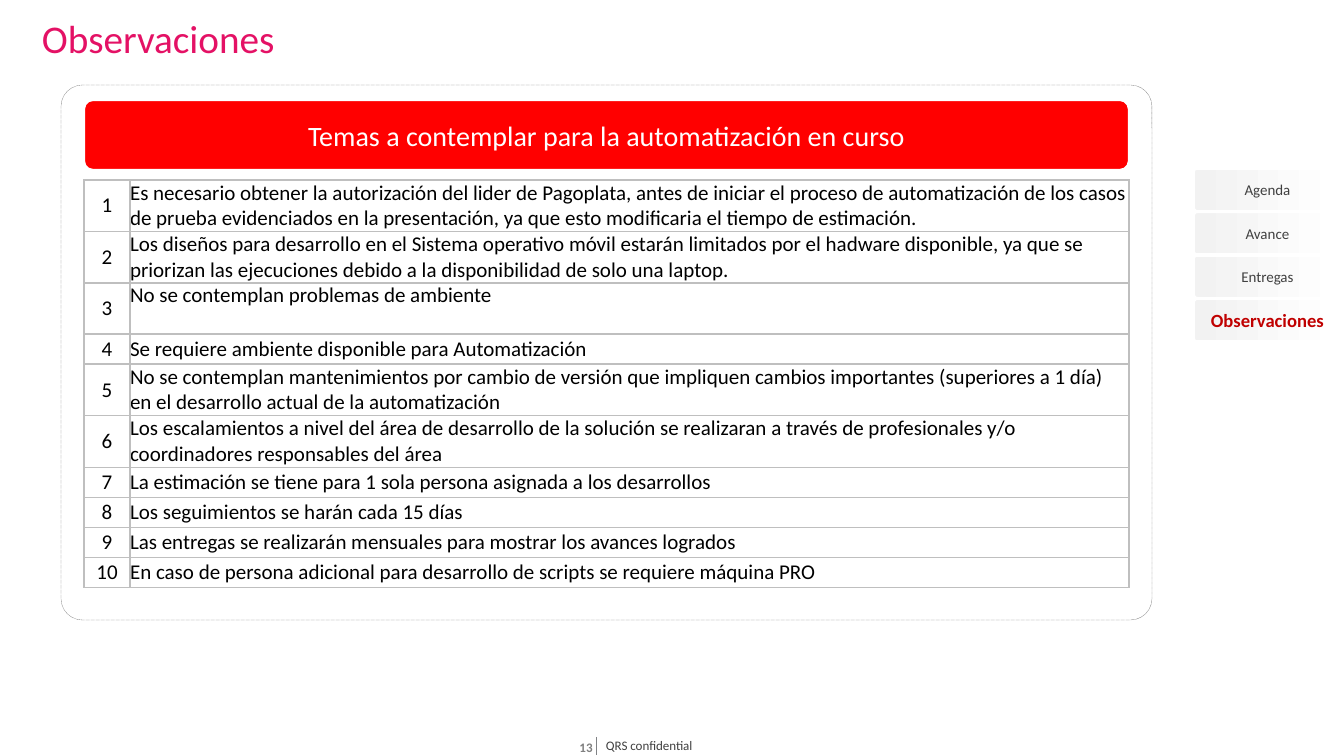
import pptx
import pptx.util
import pptx.oxml
import pptx.oxml.ns
import pptx.dml.color
import pptx.enum.dml
import pptx.enum.shapes
import pptx.enum.text

RGBColor = pptx.dml.color.RGBColor
SHAPE = pptx.enum.shapes.MSO_SHAPE
ALIGN = pptx.enum.text.PP_ALIGN
ANCHOR = pptx.enum.text.MSO_ANCHOR

PINK = RGBColor(0xE4, 0x11, 0x65)
RED = RGBColor(0xFF, 0x00, 0x00)
DARK_RED = RGBColor(0xC0, 0x00, 0x00)
WHITE = RGBColor(0xFF, 0xFF, 0xFF)
BLACK = RGBColor(0x00, 0x00, 0x00)
PALE = RGBColor(0xF2, 0xF2, 0xF2)
BORDER = RGBColor(0xBF, 0xBF, 0xBF)
GRAY = RGBColor(0x80, 0x80, 0x80)
RULE = RGBColor(0x80, 0x82, 0x85)
CHARCOAL = RGBColor(0x40, 0x40, 0x40)

TITLE = "Observaciones"
HEADING = "Temas a contemplar para la automatización en curso"
TOPICS = [
    ("Es necesario obtener la autorización del lider de Pagoplata, antes de iniciar el proceso de automatización de los casos de prueba evidenciados en la presentación, ya que esto modificaria el tiempo de estimación.", 51),
    ("Los diseños para desarrollo en el Sistema operativo móvil estarán limitados por el hadware disponible, ya que se priorizan las ejecuciones debido a la disponibilidad de solo una laptop.", 51),
    ("No se contemplan problemas de ambiente", 51),
    ("Se requiere ambiente disponible para Automatización", 30),
    ("No se contemplan mantenimientos por cambio de versión que impliquen cambios importantes (superiores a 1 día) en el desarrollo actual de la automatización", 52),
    ("Los escalamientos a nivel del área de desarrollo de la solución se realizaran a través de profesionales y/o coordinadores responsables del área", 51),
    ("La estimación se tiene para 1 sola persona asignada a los desarrollos", 30),
    ("Los seguimientos se harán cada 15 días", 30),
    ("Las entregas se realizarán mensuales para mostrar los avances logrados", 30),
    ("En caso de persona adicional para desarrollo de scripts se requiere máquina PRO", 30),
]
TOP_ALIGNED_TOPIC = 3
TABS = ["Agenda", "Avance", "Entregas", "Observaciones"]
COLUMNS = [46, 999]
PAGE_NUMBER = "13"
FOOTER = "QRS confidential"


def px(length):
    return pptx.util.Emu(round(length * 914400 / 100.8))


def write(frame, text, size, color, align=ALIGN.LEFT, bold=False,
          anchor=ANCHOR.MIDDLE, margins=(10, 5, 10, 5)):
    frame.word_wrap = True
    frame.vertical_anchor = anchor
    (frame.margin_left, frame.margin_top,
     frame.margin_right, frame.margin_bottom) = map(px, margins)
    para = frame.paragraphs[0]
    para.text = text
    para.alignment = align
    para.font.name = "Calibri"
    para.font.size = pptx.util.Pt(size)
    para.font.bold = bold
    para.font.color.rgb = color
    return para


def add_box(page, kind, place, adjustments):
    box = page.shapes.add_shape(kind, *map(px, place))
    box.shadow.inherit = False
    for index, value in enumerate(adjustments):
        box.adjustments[index] = value
    return box


def set_outline(box, color, width):
    box.line.color.rgb = color
    box.line.width = pptx.util.Pt(width)


def add_borders(cell):
    properties = cell._tc.get_or_add_tcPr()
    for side in ("lnL", "lnR", "lnT", "lnB"):
        properties.append(pptx.oxml.parse_xml(
            f'<a:{side} {pptx.oxml.ns.nsdecls("a")} w="12700"><a:solidFill>'
            f'<a:srgbClr val="{BORDER}"/></a:solidFill></a:{side}>'))


def add_topics(page):
    heights = [height for _, height in TOPICS]
    frame = page.shapes.add_table(len(TOPICS), len(COLUMNS), px(84), px(180),
                                  px(sum(COLUMNS)), px(sum(heights)))
    table = frame.table
    table.first_row = False
    table.horz_banding = False
    for column, width in zip(table.columns, COLUMNS):
        column.width = px(width)
    for number, (row, (topic, height)) in enumerate(zip(table.rows, TOPICS), 1):
        row.height = px(height)
        for cell, text, align in zip(row.cells, (str(number), topic),
                                     (ALIGN.CENTER, ALIGN.LEFT)):
            add_borders(cell)
            cell.fill.solid()
            cell.fill.fore_color.rgb = WHITE
            write(cell.text_frame, text, 15, BLACK, align)
            cell.vertical_anchor = ANCHOR.MIDDLE
            cell.margin_left = cell.margin_right = 0
            cell.margin_top = cell.margin_bottom = 0
        if number == TOP_ALIGNED_TOPIC:
            row.cells[1].vertical_anchor = ANCHOR.TOP


def add_tabs(page):
    width, height, pitch = 40, 146, 43.4
    center_x, first_y = 1268, 190
    for index, label in enumerate(TABS):
        center_y = first_y + index * pitch
        tab = add_box(page, SHAPE.ROUND_2_SAME_RECTANGLE,
                      (center_x - width / 2, center_y - height / 2, width, height),
                      (0.17, 0.08))
        tab.rotation = 90
        tab.line.fill.background()
        tab.fill.gradient()
        tab.fill.gradient_angle = 270
        for stop, color in zip(tab.fill.gradient_stops, (WHITE, PALE)):
            stop.color.rgb = color
        current = label == TITLE
        write(tab.text_frame, label, 13.3 if current else 10.7,
              DARK_RED if current else CHARCOAL, ALIGN.CENTER, current,
              margins=(18, 0, 18, 0))
        tab.text_frame._txBody.bodyPr.set("vert", "vert270")


def add_footer(page):
    rule = page.shapes.add_connector(pptx.enum.shapes.MSO_CONNECTOR.STRAIGHT,
                                     px(596), px(737), px(596), px(755))
    set_outline(rule, RULE, 0.5)
    rule._element.spPr.append(pptx.oxml.parse_xml(
        f'<a:effectLst {pptx.oxml.ns.nsdecls("a")}/>'))
    number = page.shapes.add_textbox(px(564), px(738), px(44), px(19))
    write(number.text_frame, PAGE_NUMBER, 9.3, GRAY, ALIGN.CENTER, True)
    notice = page.shapes.add_textbox(px(599), px(736), px(276), px(19))
    write(notice.text_frame, FOOTER, 9.3, CHARCOAL, margins=(7, 5, 10, 5))


def main():
    deck = pptx.Presentation()
    deck.slide_width, deck.slide_height = px(1344), px(756)
    page = deck.slides.add_slide(deck.slide_layouts[5])

    title = page.shapes.title
    title.left, title.top, title.width, title.height = map(px, (32, 16, 1148, 50))
    write(title.text_frame, TITLE, 28, PINK).line_spacing = 0.9

    panel = add_box(page, SHAPE.ROUNDED_RECTANGLE, (61, 85, 1091, 535), (0.04,))
    panel.fill.solid()
    panel.fill.fore_color.rgb = WHITE
    set_outline(panel, GRAY, 0.25)
    panel.line.dash_style = pptx.enum.dml.MSO_LINE.ROUND_DOT

    heading = add_box(page, SHAPE.ROUNDED_RECTANGLE, (84, 100, 1045, 70), (0.13,))
    heading.fill.solid()
    heading.fill.fore_color.rgb = RED
    set_outline(heading, WHITE, 1.5)
    write(heading.text_frame, HEADING, 20, WHITE, ALIGN.CENTER)

    add_topics(page)
    add_tabs(page)
    add_footer(page)
    deck.save("out.pptx")


if __name__ == "__main__":
    main()
